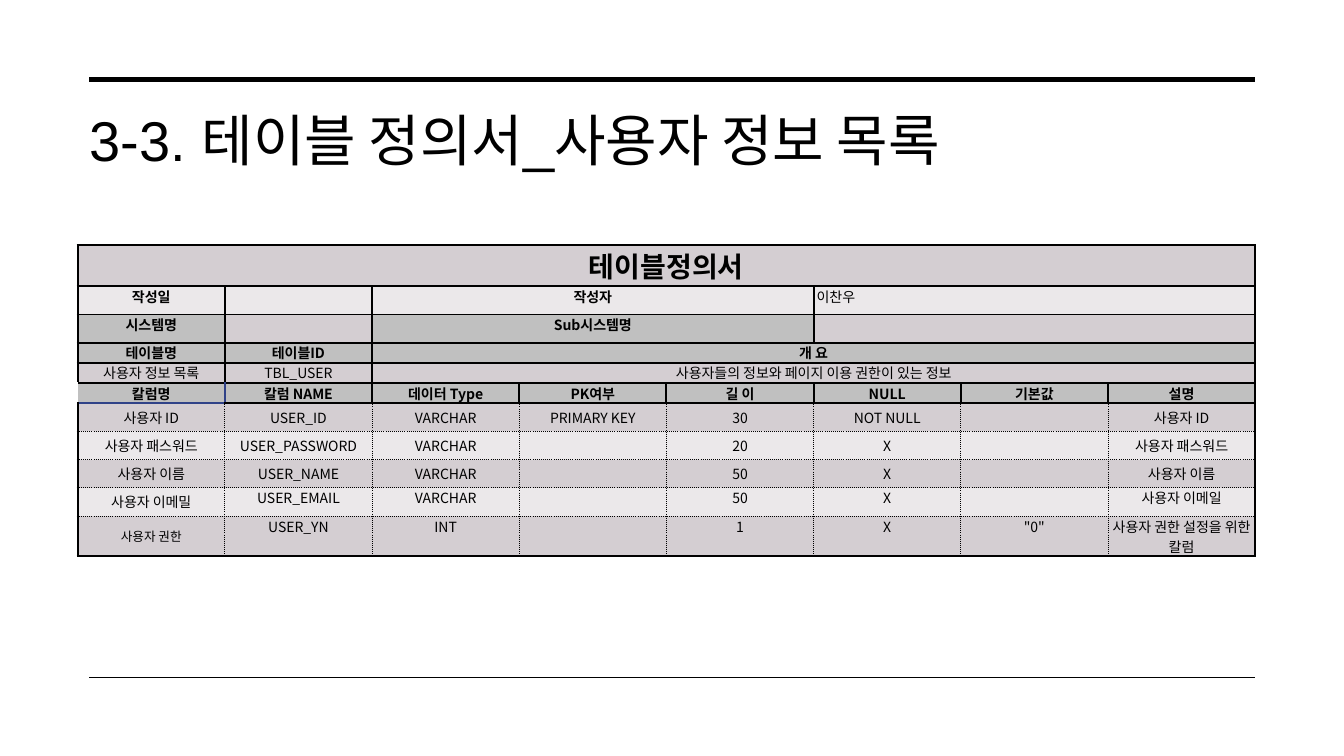
from dataclasses import dataclass
from lxml import etree
from pptx import Presentation
from pptx.dml.color import RGBColor
from pptx.enum.shapes import MSO_CONNECTOR
from pptx.enum.text import MSO_ANCHOR, PP_ALIGN
from pptx.oxml.ns import qn
from pptx.util import Inches, Pt

STRAIGHT = MSO_CONNECTOR.STRAIGHT
TOP, MIDDLE = MSO_ANCHOR.TOP, MSO_ANCHOR.MIDDLE
LEFT, CENTER = PP_ALIGN.LEFT, PP_ALIGN.CENTER


@dataclass(frozen=True)
class Theme:
    ink: str = "000000"
    accent: str = "304288"
    head: str = "C0C0C0"
    dark: str = "D4CED2"
    light: str = "EBE8EA"
    title_font: str = "Arial"
    body_font: str = "Noto Sans CJK KR"
    title: float = 40
    banner: float = 20
    body: float = 10
    small: float = 9
    thick: float = 1.5
    thin: float = 0.75


MARGIN, COL, ROW = 0.77, 1.46, 0.1
COLS = 8
COLUMN_HEAD = 5
HEIGHTS = [4.1, 2.8, 2.8, 2, 2, 2, 2.8, 2.8, 2.8, 2.8, 4]
BOLD_ROWS = {0, 1, 2, 3, COLUMN_HEAD}
LIGHT_ROWS = {1, 7, 9}
CELLS = [
    ["테이블정의서"] + [None] * 7,
    ["작성일", "", "작성자", None, None, "이찬우", None, None],
    ["시스템명", "", "Sub시스템명", None, None, "", None, None],
    ["테이블명", "테이블ID", "개 요"] + [None] * 5,
    ["사용자 정보 목록", "TBL_USER", "사용자들의 정보와 페이지 이용 권한이 있는 정보"] + [None] * 5,
    ["칼럼명", "칼럼 NAME", "데이터 Type", "PK여부", "길 이", "NULL", "기본값", "설명"],
    ["사용자 ID", "USER_ID", "VARCHAR", "PRIMARY KEY", "30", "NOT NULL", "", "사용자 ID"],
    ["사용자 패스워드", "USER_PASSWORD", "VARCHAR", "", "20", "X", "", "사용자 패스워드"],
    ["사용자 이름", "USER_NAME", "VARCHAR", "", "50", "X", "", "사용자 이름"],
    ["사용자 이메밀", "USER_EMAIL", "VARCHAR", "", "50", "X", "", "사용자 이메일"],
    ["사용자 권한", "USER_YN", "INT", "", "1", "X", '"0"', "사용자 권한 설정을 위한 칼럼"],
]


class Deck:
    def __init__(self, theme):
        self.theme = theme
        self.prs = Presentation()
        self.prs.slide_width = Inches(13.33)
        self.prs.slide_height = Inches(7.5)
        self.slide = self.prs.slides.add_slide(self.prs.slide_layouts[6])

    def x(self, col):
        return Inches(MARGIN + col * COL)

    def y(self, row):
        return Inches(row * ROW)

    def rule(self, row, width):
        sp = self.slide.shapes.add_connector(
            STRAIGHT, self.x(0.08), self.y(row), self.x(COLS), self.y(row))
        sp.line.color.rgb = RGBColor.from_string(self.theme.ink)
        sp.line.width = Pt(width)
        etree.SubElement(sp._element.spPr, qn("a:effectLst"))

    def style(self, p, font, size, bold=False, align=LEFT):
        p.alignment = align
        p.font.size = Pt(size)
        p.font.bold = bold
        p.font.name = font
        p.font.color.rgb = RGBColor.from_string(self.theme.ink)
        props = p._p.pPr.find(qn("a:defRPr"))
        etree.SubElement(props, qn("a:ea"), typeface=self.theme.body_font)

    def title(self, text, row, rows):
        sp = self.slide.shapes.add_textbox(
            self.x(0), self.y(row), Inches(COLS * COL), self.y(rows))
        tf = sp.text_frame
        tf.word_wrap = True
        tf.vertical_anchor = TOP
        tf.margin_left = tf.margin_top = tf.margin_right = Inches(0.12)
        tf.margin_bottom = Inches(0.1)
        p = tf.paragraphs[0]
        p.text = text
        p.line_spacing = 0.9
        self.style(p, self.theme.title_font, self.theme.title)

    def table(self, row):
        tbl = self.slide.shapes.add_table(
            len(CELLS), COLS, self.x(0), self.y(row),
            Inches(COLS * COL), self.y(sum(HEIGHTS))).table
        tbl.first_row = tbl.horz_banding = False
        for column in tbl.columns:
            column.width = Inches(COL)
        for r, texts in enumerate(CELLS):
            tbl.rows[r].height = self.y(HEIGHTS[r])
            for c, text in enumerate(texts):
                cell = tbl.cell(r, c)
                self.borders(cell, r, c)
                self.fill(cell, r, c)
                if text is None:
                    continue
                end = c
                while end + 1 < COLS and texts[end + 1] is None:
                    end += 1
                if end > c:
                    cell.merge(tbl.cell(r, end))
                self.label(cell, r, c, text)

    def label(self, cell, r, c, text):
        t = self.theme
        cell.margin_left = cell.margin_right = Inches(0.03)
        cell.margin_top = cell.margin_bottom = 0
        centred = r > COLUMN_HEAD and (c == 0 or r < 9)
        cell.vertical_anchor = MIDDLE if centred else TOP
        author = (r, c) == (1, 5)
        size = t.banner if r == 0 else t.small if (r, c) == (10, 0) else t.body
        p = cell.text_frame.paragraphs[0]
        if text:
            p.text = text
        self.style(p, t.body_font, size, r in BOLD_ROWS and not author,
                   LEFT if author else CENTER)

    def fill(self, cell, r, c):
        t = self.theme
        heading = r in (3, COLUMN_HEAD) or (r == 2 and c in (0, 2, 3, 4))
        color = t.head if heading else t.light if r in LIGHT_ROWS else t.dark
        cell.fill.solid()
        cell.fill.fore_color.rgb = RGBColor.from_string(color)

    def borders(self, cell, r, c):
        data = r > COLUMN_HEAD
        dotted = {
            "L": data and c > 0,
            "R": data and c < COLS - 1,
            "T": r > COLUMN_HEAD + 1,
            "B": data and r < len(CELLS) - 1,
        }
        accents = {(COLUMN_HEAD, 0): "RB", (COLUMN_HEAD, 1): "L",
                   (COLUMN_HEAD + 1, 0): "T"}.get((r, c), "")
        tc_pr = cell._tc.get_or_add_tcPr()
        for side, dots in dotted.items():
            if (r, c, side) == (COLUMN_HEAD, 0, "L"):
                continue
            width = self.theme.thin if dots else self.theme.thick
            color = self.theme.accent if side in accents else self.theme.ink
            ln = etree.SubElement(tc_pr, qn(f"a:ln{side}"), w=str(Pt(width)))
            solid = etree.SubElement(ln, qn("a:solidFill"))
            etree.SubElement(solid, qn("a:srgbClr"), val=color)
            etree.SubElement(ln, qn("a:prstDash"), val="dot" if dots else "solid")


def main():
    deck = Deck(Theme())
    deck.rule(7.9, 3.5)
    deck.rule(67.2, 1)
    deck.title("3-3. 테이블 정의서_사용자 정보 목록", 10, 14.3)
    deck.table(24.3)
    deck.prs.save("out.pptx")


if __name__ == "__main__":
    main()
